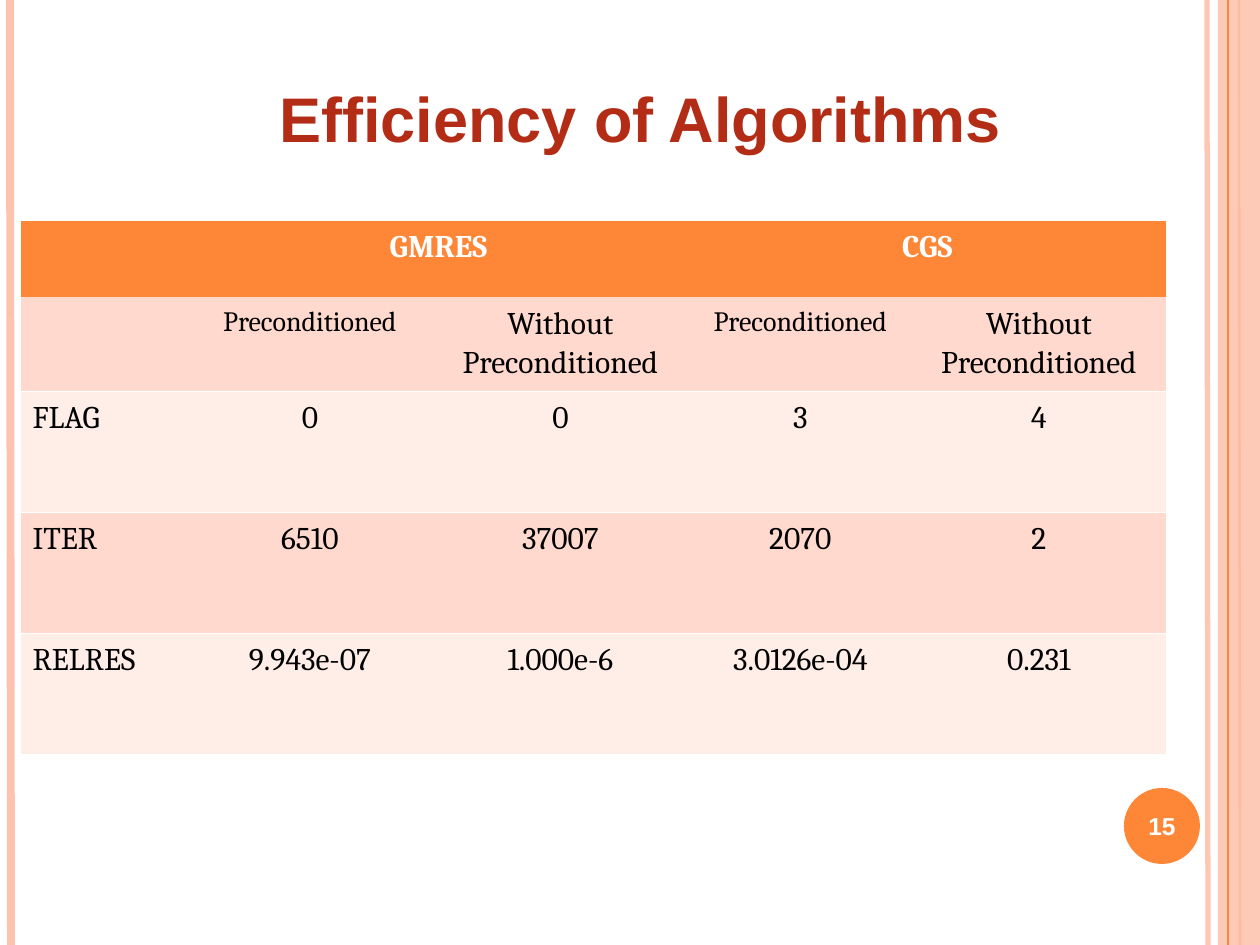
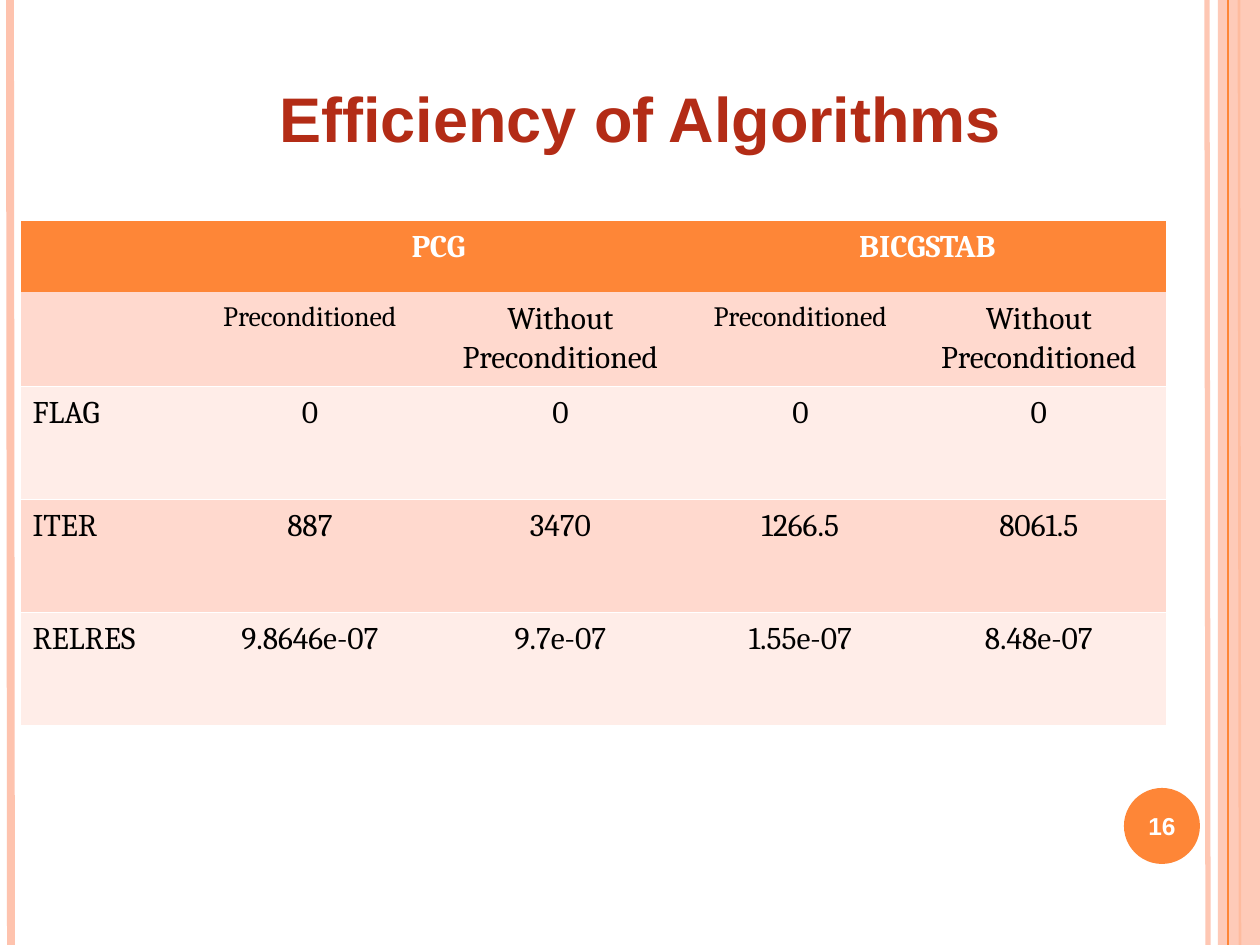
from dataclasses import dataclass

from lxml import etree
from pptx import Presentation
from pptx.dml.color import RGBColor
from pptx.enum.shapes import MSO_CONNECTOR, MSO_SHAPE
from pptx.enum.text import MSO_ANCHOR, PP_ALIGN
from pptx.oxml.ns import qn
from pptx.util import Pt

STRAIGHT = MSO_CONNECTOR.STRAIGHT
RECTANGLE, OVAL = MSO_SHAPE.RECTANGLE, MSO_SHAPE.OVAL
TOP, MIDDLE = MSO_ANCHOR.TOP, MSO_ANCHOR.MIDDLE
LEFT, CENTER = PP_ALIGN.LEFT, PP_ALIGN.CENTER


@dataclass(frozen=True)
class Theme:
    white: str = "FFFFFF"
    black: str = "000000"
    orange: str = "FE8637"
    peach: str = "FEC3AE"
    red: str = "B32C16"
    row_dark: str = "FFD9CE"
    row_light: str = "FFEDE8"
    heading_font: str = "Arial"
    table_font: str = "Cambria"
    title_size: int = 36
    body_size: int = 18
    small_size: int = 16
    number_size: int = 14
    line_spacing: float = 1.08
    grid_width: float = 0.23


THEME = Theme()
PAGE_WIDTH, PAGE_HEIGHT = 1260, 945

# Boxes: left, top, width, height
TITLE_BOX = (84, 73, 1113, 88)
BADGE_BOX = (1124, 788, 76, 76)
BAND_BOX = (1218, 0, 42, PAGE_HEIGHT)
TABLE_ORIGIN = (20, 220)

COLUMN_WIDTHS = (168, 244, 257, 223, 254)
SUBHEAD_HEIGHT = 94
PRECONDITIONING = ("Preconditioned", "Without\nPreconditioned")
TITLE = "Efficiency of Algorithms"

RESULTS = [
    {
        "number": "15",
        "methods": ("GMRES", "CGS"),
        "head_height": 77,
        "body_height": 121,
        "rows": [
            ("FLAG", "0", "0", "3", "4"),
            ("ITER", "6510", "37007", "2070", "2"),
            ("RELRES", "9.943e-07", "1.000e-6", "3.0126e-04", "0.231"),
        ],
    },
    {
        "number": "16",
        "methods": ("PCG", "BICGSTAB"),
        "head_height": 72,
        "body_height": 113,
        "rows": [
            ("FLAG", "0", "0", "0", "0"),
            ("ITER", "887", "3470", "1266.5", "8061.5"),
            ("RELRES", "9.8646e-07", "9.7e-07", "1.55e-07", "8.48e-07"),
        ],
    },
]


def px(length):
    return round(length * 914400 / 126)


def scaled(box):
    return [px(length) for length in box]


def rgb(code):
    return RGBColor.from_string(code)


def set_opacity(element, percent):
    color = element.find(".//" + qn("a:srgbClr"))
    etree.SubElement(color, qn("a:alpha"), val=str(percent * 1000))


def write_text(frame, text, color, font, size, bold, align=CENTER, spacing=None):
    formats = {"name": font, "size": Pt(size), "bold": bold}
    for index, line in enumerate(text.split("\n")):
        para = frame.paragraphs[0] if index == 0 else frame.add_paragraph()
        para.alignment = align
        if spacing:
            para.line_spacing = spacing
        span = para.add_run()
        span.text = line
        for name, value in formats.items():
            setattr(span.font, name, value)
        span.font.color.rgb = rgb(color)


def add_text_box(page, box, anchor, text, color, size):
    frame = page.shapes.add_textbox(*scaled(box)).text_frame
    frame.word_wrap = True
    frame.vertical_anchor = anchor
    write_text(frame, text, color, THEME.heading_font, size, True)


def add_filled_shape(page, kind, box, color):
    shape = page.shapes.add_shape(kind, *scaled(box))
    shape.shadow.inherit = False
    shape.fill.solid()
    shape.fill.fore_color.rgb = rgb(color)
    shape.line.fill.background()
    return shape


def add_rule(page, top_x, bottom_x, color, width):
    rule = page.shapes.add_connector(
        STRAIGHT, px(top_x), 0, px(bottom_x), px(PAGE_HEIGHT))
    rule.line.color.rgb = rgb(color)
    rule.line.width = Pt(width)
    etree.SubElement(rule._element.spPr, qn("a:effectLst"))
    return rule


def add_side_stripes(page, band_box):
    band_left = band_box[0]
    # Outer rules on both margins
    inner_rule = add_rule(page, band_left - 11, band_left - 10, THEME.peach, 3)
    set_opacity(inner_rule._element, 93)
    add_rule(page, 10, 11, THEME.peach, 4.5)
    # Band with its two thin rules
    add_rule(page, band_left + 21, band_left + 22, THEME.orange, 1.5)
    band = add_filled_shape(page, RECTANGLE, band_box, THEME.peach)
    set_opacity(band._element, 87)
    add_rule(page, band_left + 10, band_left + 10, THEME.orange, 0.75)


def add_number_badge(page, box, number):
    left, top, width, height = box
    add_filled_shape(page, OVAL, box, THEME.orange)
    label_box = (left - 4, top + 2, width + 8, height - 4)
    add_text_box(page, label_box, MIDDLE, number, THEME.white, THEME.number_size)


def set_borders(cell, visible_sides):
    properties = cell._tc.get_or_add_tcPr()
    for index, side in enumerate("LRTB"):
        line = etree.Element(qn("a:ln" + side), w=str(Pt(THEME.grid_width)))
        if side in visible_sides:
            fill = etree.SubElement(line, qn("a:solidFill"))
            etree.SubElement(fill, qn("a:srgbClr"), val=THEME.white)
        else:
            etree.SubElement(line, qn("a:noFill"))
        properties.insert(index, line)


def border_sides(row, column):
    edges = {
        "L": column == 0,
        "R": column == len(COLUMN_WIDTHS) - 1,
        "T": row != 1,
        "B": row != 0,
    }
    return [side for side, visible in edges.items() if visible]


def add_results_table(page, origin, result):
    first, second = result["methods"]
    grid = [("", first, "", second, ""), ("", *PRECONDITIONING * 2), *result["rows"]]
    heights = [result["head_height"], SUBHEAD_HEIGHT]
    heights += [result["body_height"]] * len(result["rows"])
    size = (sum(COLUMN_WIDTHS), sum(heights))
    table = page.shapes.add_table(
        len(grid), len(COLUMN_WIDTHS), *scaled(origin + size)).table

    for column, width in zip(table.columns, COLUMN_WIDTHS):
        column.width = px(width)
    for row, height in zip(table.rows, heights):
        row.height = px(height)

    # Each method spans its two columns
    for start in (1, 3):
        table.cell(0, start).merge(table.cell(0, start + 1))

    for row, values in enumerate(grid):
        is_head = row == 0
        band = THEME.row_dark if row % 2 else THEME.row_light
        for column, text in enumerate(values):
            cell = table.cell(row, column)
            cell.fill.solid()
            cell.fill.fore_color.rgb = rgb(THEME.orange if is_head else band)
            set_borders(cell, border_sides(row, column))
            if text:
                is_small = text == PRECONDITIONING[0]
                write_text(
                    cell.text_frame, text,
                    THEME.white if is_head else THEME.black,
                    THEME.table_font,
                    THEME.small_size if is_small else THEME.body_size,
                    is_head,
                    CENTER if column else LEFT,
                    THEME.line_spacing)


def add_results_page(deck, result):
    page = deck.slides.add_slide(deck.slide_layouts[6])
    add_side_stripes(page, BAND_BOX)
    add_number_badge(page, BADGE_BOX, result["number"])
    add_results_table(page, TABLE_ORIGIN, result)
    add_text_box(page, TITLE_BOX, TOP, TITLE, THEME.red, THEME.title_size)


def main():
    deck = Presentation()
    deck.slide_width, deck.slide_height = px(PAGE_WIDTH), px(PAGE_HEIGHT)
    for result in RESULTS:
        add_results_page(deck, result)
    deck.save("out.pptx")


if __name__ == "__main__":
    main()
